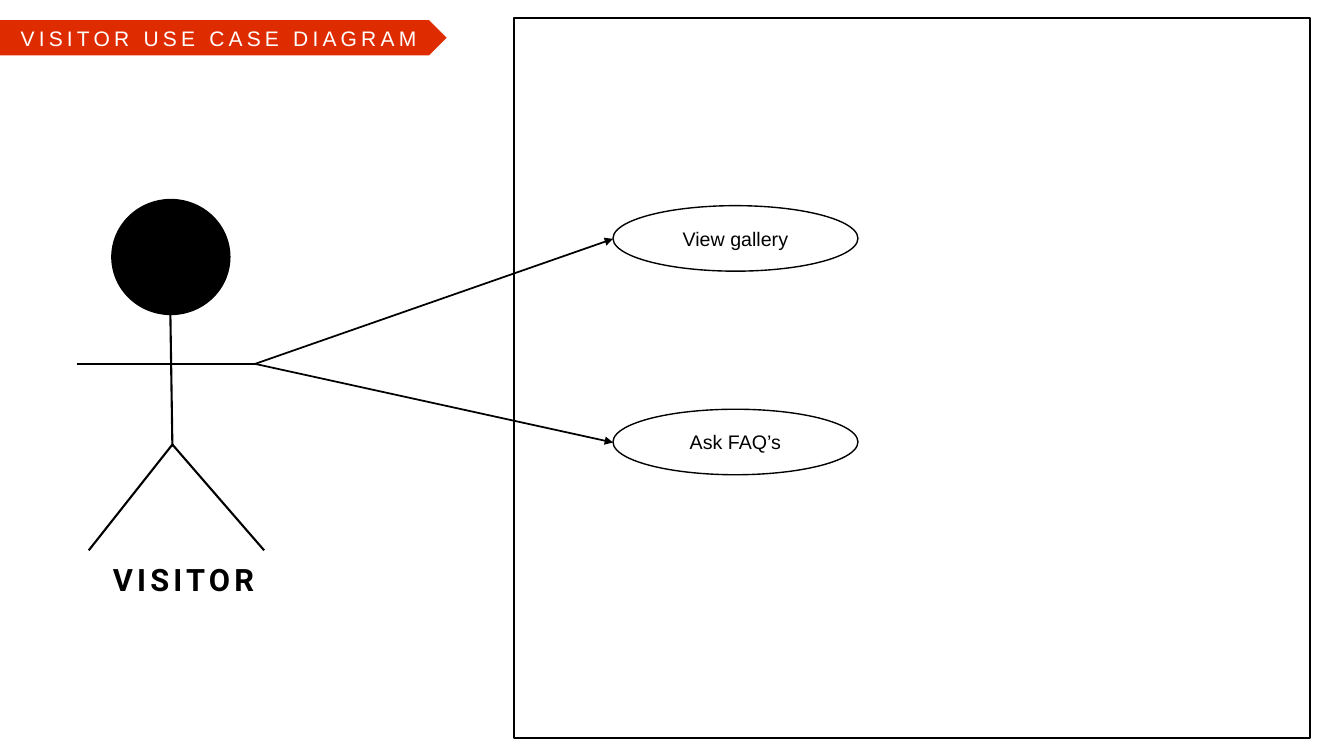
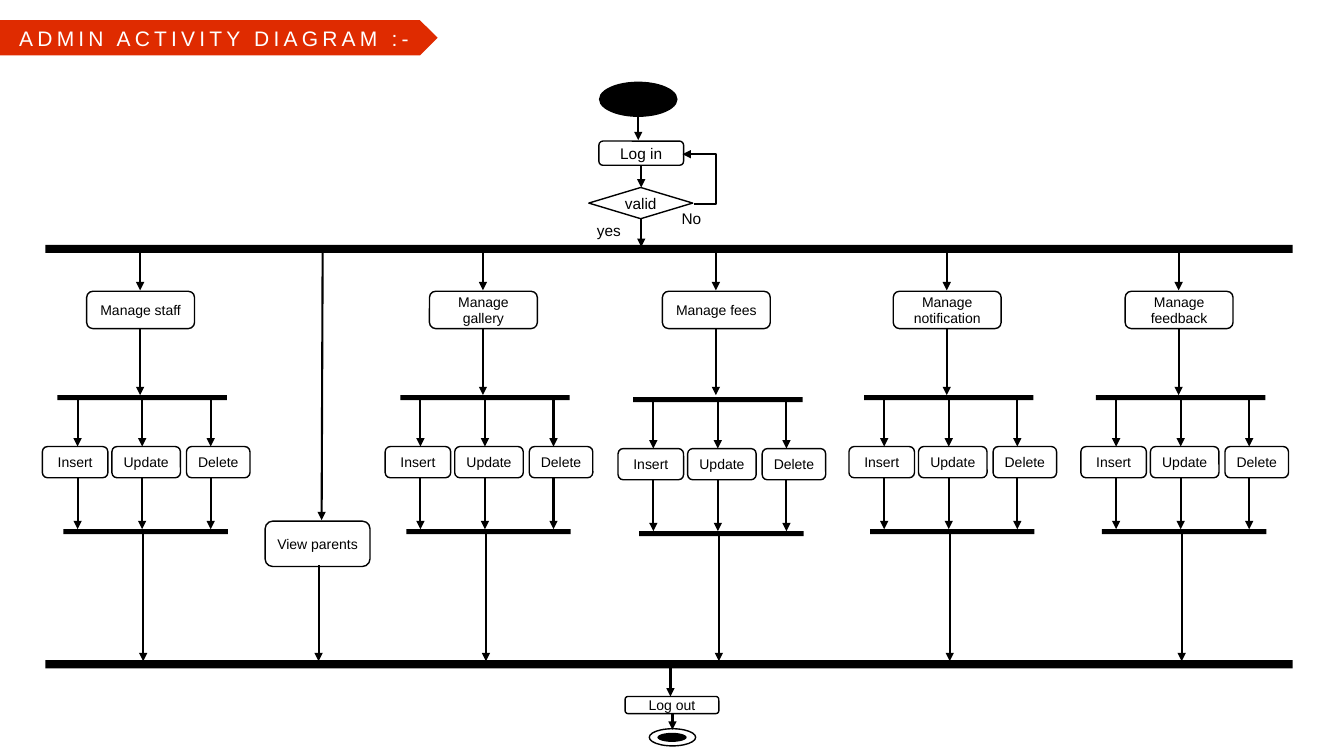
"""Build a use case diagram slide and an activity diagram slide."""
from dataclasses import dataclass

from lxml.etree import SubElement
from pptx import Presentation
from pptx.dml.color import RGBColor
from pptx.enum.shapes import MSO_CONNECTOR, MSO_SHAPE
from pptx.enum.text import MSO_ANCHOR, MSO_AUTO_SIZE, PP_ALIGN
from pptx.oxml.ns import qn
from pptx.presentation import Presentation as Deck
from pptx.shapes.autoshape import Shape
from pptx.shapes.connector import Connector
from pptx.slide import Slide
from pptx.util import Inches, Pt

BLACK, WHITE, RED = "000000", "FFFFFF", "DF2B00"
TITLE_FONT = {"name": "Arial", "size": Pt(15), "bold": False}
ACTOR_FONT = {"name": "Roboto", "size": Pt(22), "bold": True}
USE_CASE_FONT = {"name": "Arial", "size": Pt(14), "bold": False}
LOGIN_FONT = {"name": "Arial", "size": Pt(11), "bold": False}
STEP_FONT = {"name": "Arial", "size": Pt(10), "bold": False}
FRAME_FORMAT = {
    "margin_left": Inches(0.08),
    "margin_right": Inches(0.08),
    "margin_top": 0,
    "margin_bottom": 0,
    "word_wrap": True,
    "auto_size": MSO_AUTO_SIZE.NONE,
    "vertical_anchor": MSO_ANCHOR.MIDDLE,
}


@dataclass(frozen=True)
class Box:
    """Position and size in inches."""

    left: float
    top: float
    width: float
    height: float


@dataclass(frozen=True)
class Line:
    """A straight line between two points in inches."""

    x1: float
    y1: float
    x2: float
    y2: float
    width: float = 1.5
    arrow: bool = True


@dataclass(frozen=True)
class Branch:
    """A managed item with its left edge and the drop of its lower part."""

    label: str
    left: float
    drop: float = 0


@dataclass(frozen=True)
class Action:
    """A branch action, measured from the left edge of the branch."""

    label: str
    left: float
    width: float
    arrow: float


BRANCHES = (
    Branch("Manage staff", 0.42),
    Branch("Manage gallery", 3.82),
    Branch("Manage fees", 6.13, 0.02),
    Branch("Manage notification", 8.42),
    Branch("Manage feedback", 10.72),
)
ACTIONS = (
    Action("Insert", 0, 0.65, 0.35),
    Action("Update", 0.69, 0.68, 0.99),
    Action("Delete", 1.43, 0.63, 1.67),
)


def color(value: str) -> RGBColor:
    """Turn a hex string into a colour."""
    return RGBColor.from_string(value)


def apply_format(target: object, values: dict) -> None:
    """Set every attribute named in the format values."""
    for name, value in values.items():
        setattr(target, name, value)


def write(shape: Shape, text: str, font: dict, text_color: str = BLACK,
          alignment: PP_ALIGN = PP_ALIGN.CENTER, spacing: float = 0) -> None:
    """Write one formatted paragraph into a shape."""
    apply_format(shape.text_frame, FRAME_FORMAT)
    paragraph = shape.text_frame.paragraphs[0]
    paragraph.alignment = alignment
    run = paragraph.add_run()
    run.text = text
    apply_format(run.font, font)
    run.font.color.rgb = color(text_color)
    if spacing:
        run._r.get_or_add_rPr().set("spc", str(int(spacing * 100)))


def add_shape(slide: Slide, kind: MSO_SHAPE, box: Box, fill: str = WHITE,
              line_width: float = 1, text: str = "", font: dict = STEP_FONT) -> Shape:
    """Add a filled preset shape with an optional outline and text."""
    shape = slide.shapes.add_shape(kind, Inches(box.left), Inches(box.top),
                                   Inches(box.width), Inches(box.height))
    shape.shadow.inherit = False
    shape.fill.solid()
    shape.fill.fore_color.rgb = color(fill)
    if line_width:
        shape.line.color.rgb = color(BLACK)
        shape.line.width = Pt(line_width)
    else:
        shape.line.fill.background()
    if text:
        write(shape, text, font)
    return shape


def add_bar(slide: Slide, box: Box) -> None:
    """Add a solid black fork or join bar."""
    add_shape(slide, MSO_SHAPE.RECTANGLE, box, BLACK, 0)


def add_step(slide: Slide, box: Box, text: str, font: dict = STEP_FONT) -> None:
    """Add a rounded activity box."""
    add_shape(slide, MSO_SHAPE.ROUNDED_RECTANGLE, box, text=text, font=font)


def add_line(slide: Slide, line: Line,
             kind: MSO_CONNECTOR = MSO_CONNECTOR.STRAIGHT) -> Connector:
    """Add a black connector, with an arrowhead if the line asks for one."""
    connector = slide.shapes.add_connector(
        kind, Inches(line.x1), Inches(line.y1), Inches(line.x2), Inches(line.y2))
    connector.line.color.rgb = color(BLACK)
    connector.line.width = Pt(line.width)
    properties = connector._element.spPr
    if line.arrow:
        SubElement(properties.find(qn("a:ln")), qn("a:tailEnd"), type="triangle")
    SubElement(properties, qn("a:effectLst"))
    return connector


def add_label(slide: Slide, box: Box, text: str, font: dict, spacing: float = 0) -> None:
    """Add a left-aligned text box."""
    label = slide.shapes.add_textbox(Inches(box.left), Inches(box.top),
                                     Inches(box.width), Inches(box.height))
    write(label, text, font, alignment=PP_ALIGN.LEFT, spacing=spacing)


def add_titled_slide(presentation: Deck, title: str, band_width: float) -> Slide:
    """Add a slide with its title on a red pentagon band."""
    slide = presentation.slides.add_slide(presentation.slide_layouts[5])
    band = add_shape(slide, MSO_SHAPE.PENTAGON, Box(0, 0.2, band_width, 0.35), RED, 0)
    slide.shapes._spTree.insert(2, band._element)
    placeholder = slide.shapes.title
    apply_format(placeholder, {
        "left": 0,
        "top": Inches(0.2),
        "width": Inches(band_width - 0.09),
        "height": Inches(0.35),
    })
    write(placeholder, title, TITLE_FONT, WHITE, spacing=3)
    return slide


def build_use_case_slide(presentation: Deck) -> None:
    """Draw the visitor and the use cases inside the system boundary."""
    slide = add_titled_slide(presentation, "VISITOR USE CASE DIAGRAM", 4.43)
    add_label(slide, Box(1.04, 5.51, 1.83, 0.47), "VISITOR", ACTOR_FONT, 3)
    add_shape(slide, MSO_SHAPE.RECTANGLE, Box(5.1, 0.18, 7.89, 7.14), line_width=1.25)
    for text, top in (("View gallery", 2.04), ("Ask FAQ’s", 4.06)):
        add_shape(slide, MSO_SHAPE.OVAL, Box(6.08, top, 2.43, 0.65),
                  text=text, font=USE_CASE_FONT)
        add_line(slide, Line(2.53, 3.61, 6.08, top + 0.33, 1.25))
    add_shape(slide, MSO_SHAPE.OVAL, Box(1.11, 1.98, 1.17, 1.14), BLACK)
    for limb in (
        Line(1.69, 3.12, 1.71, 4.43, arrow=False),
        Line(1.71, 4.41, 0.88, 5.46, arrow=False),
        Line(1.71, 4.41, 2.62, 5.46, arrow=False),
        Line(0.76, 3.61, 2.56, 3.61, arrow=False),
    ):
        add_line(slide, limb)


def add_login(slide: Slide) -> None:
    """Draw the start, the login step and its validity check."""
    add_shape(slide, MSO_SHAPE.OVAL, Box(5.94, 0.81, 0.78, 0.35), BLACK, 0)
    add_line(slide, Line(6.33, 1.16, 6.33, 1.39))
    add_step(slide, Box(5.94, 1.4, 0.84, 0.24), "Log in", LOGIN_FONT)
    add_line(slide, Line(6.36, 1.64, 6.36, 1.86))
    add_shape(slide, MSO_SHAPE.DIAMOND, Box(5.84, 1.86, 1.03, 0.31),
              text="valid", font=LOGIN_FONT)
    add_line(slide, Line(6.36, 2.17, 6.36, 2.45))
    retry = add_line(slide, Line(6.88, 2.02, 6.77, 1.53), MSO_CONNECTOR.ELBOW)
    adjustments = retry._element.spPr.find(qn("a:prstGeom")).find(qn("a:avLst"))
    SubElement(adjustments, qn("a:gd"), name="adj1", fmla="val -204200")
    add_label(slide, Box(6.68, 2.03, 0.5, 0.28), "No", LOGIN_FONT)
    add_label(slide, Box(5.84, 2.14, 0.5, 0.28), "yes", LOGIN_FONT)


def add_branch(slide: Slide, branch: Branch) -> None:
    """Draw a managed item, its three actions and the bars around them."""
    left, drop = branch.left, branch.drop
    center = left + 0.97
    add_line(slide, Line(center, 2.51, center, 2.88))
    add_step(slide, Box(left + 0.44, 2.89, 1.07, 0.37), branch.label)
    add_line(slide, Line(center, 3.26, center, 3.92))
    add_bar(slide, Box(left + 0.15, 3.92 + drop, 1.68, 0.05))
    for action in ACTIONS:
        arrow = left + action.arrow
        add_line(slide, Line(arrow, 3.97 + drop, arrow, 4.43 + drop))
        add_step(slide, Box(left + action.left, 4.43 + drop, action.width, 0.31),
                 action.label)
        add_line(slide, Line(arrow, 4.74 + drop, arrow, 5.25 + drop))
    add_bar(slide, Box(left + 0.21, 5.25 + drop, 1.63, 0.05))
    add_line(slide, Line(left + 1, 5.28, left + 1, 6.56))


def add_logout(slide: Slide) -> None:
    """Draw the logout step and the end mark."""
    add_line(slide, Line(6.65, 6.61, 6.65, 6.91))
    add_step(slide, Box(6.2, 6.91, 0.93, 0.17), "Log out")
    add_shape(slide, MSO_SHAPE.OVAL, Box(6.44, 7.23, 0.46, 0.17))
    add_shape(slide, MSO_SHAPE.OVAL, Box(6.52, 7.27, 0.29, 0.09), BLACK, 0)
    add_line(slide, Line(6.67, 7.08, 6.67, 7.24))


def build_activity_slide(presentation: Deck) -> None:
    """Draw the admin activity flow from login to logout."""
    slide = add_titled_slide(presentation, "ADMIN ACTIVITY DIAGRAM :-", 4.34)
    add_login(slide)
    for top in (2.43, 6.55):
        add_bar(slide, Box(0.45, top, 12.37, 0.08))
    for branch in BRANCHES:
        add_branch(slide, branch)
    add_line(slide, Line(3.2, 2.51, 3.19, 5.16))
    add_step(slide, Box(2.63, 5.17, 1.04, 0.45), "View parents")
    add_line(slide, Line(3.16, 5.61, 3.16, 6.56))
    add_logout(slide)


def main() -> None:
    """Build and save the presentation."""
    presentation = Presentation()
    presentation.slide_width = Inches(13.33)
    presentation.slide_height = Inches(7.5)
    build_use_case_slide(presentation)
    build_activity_slide(presentation)
    presentation.save("out.pptx")


if __name__ == "__main__":
    main()
